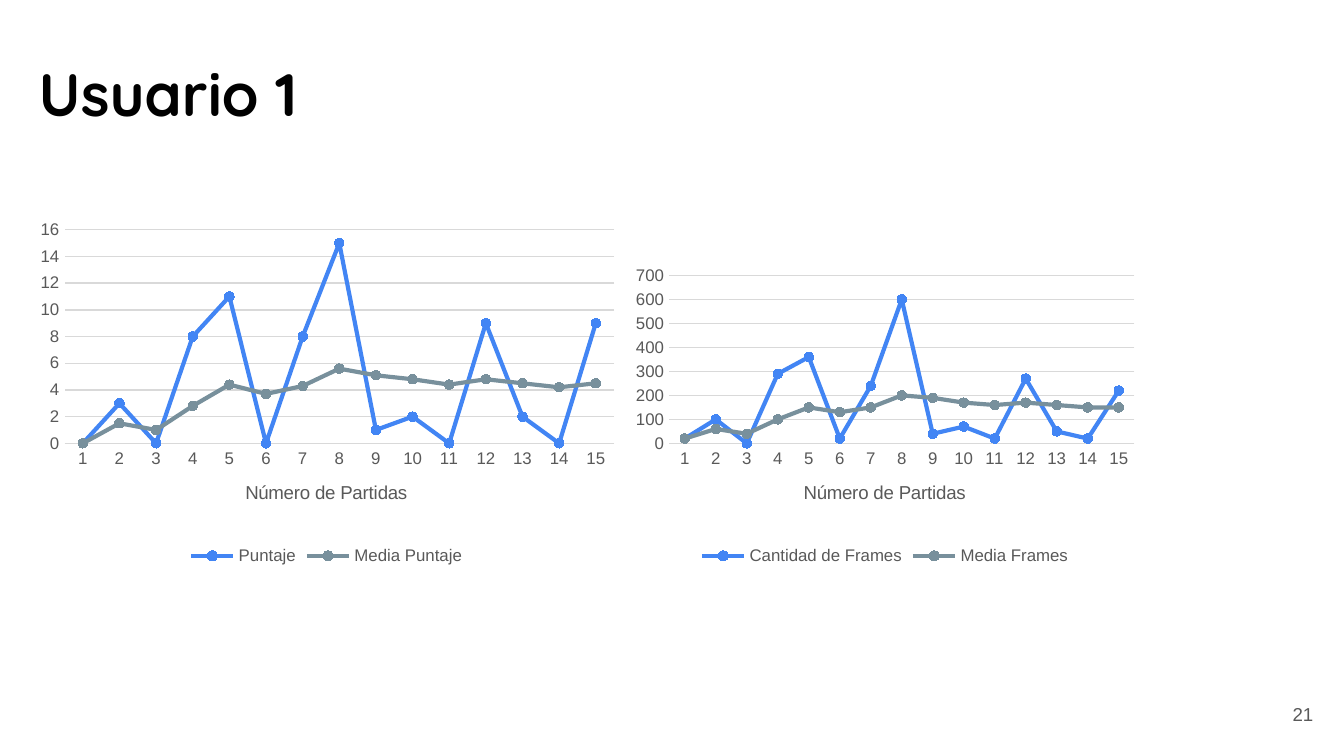
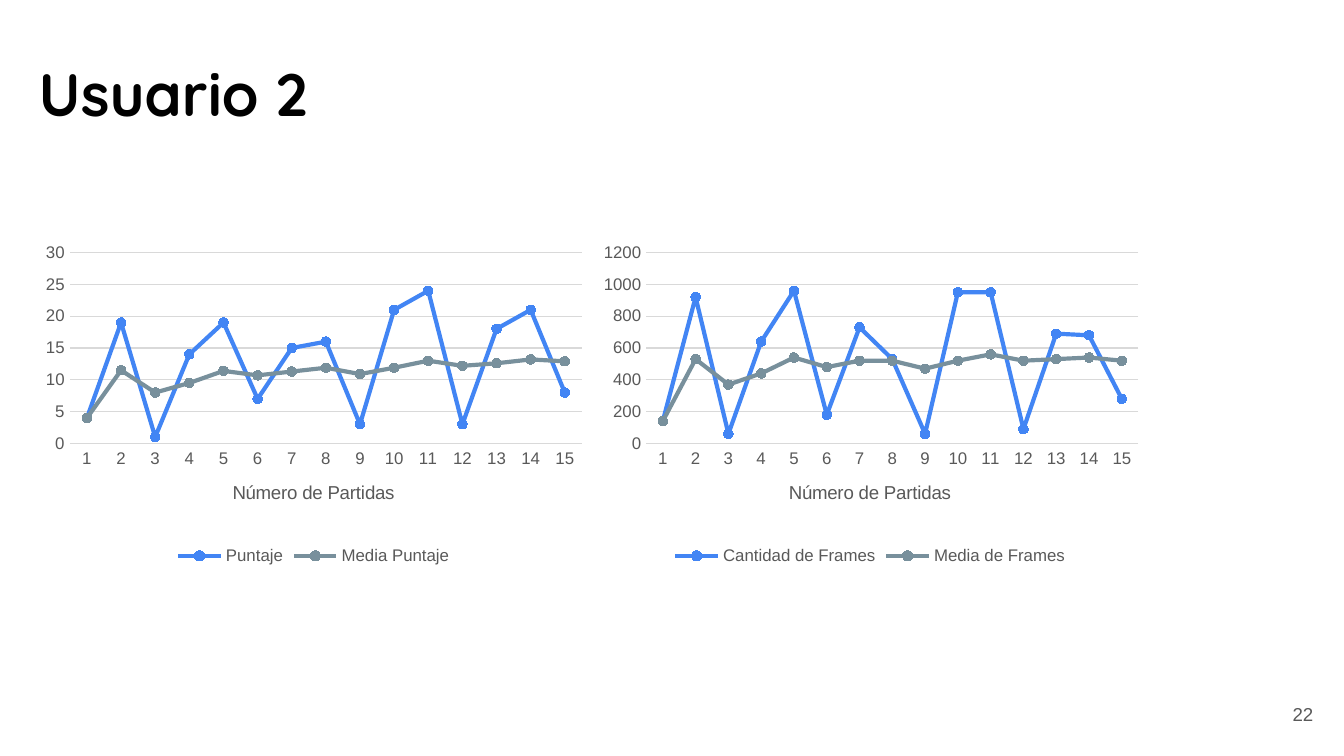
from dataclasses import dataclass

from lxml import etree
from pptx import Presentation
from pptx.chart.data import CategoryChartData
from pptx.dml.color import RGBColor
from pptx.enum.chart import XL_CHART_TYPE, XL_LEGEND_POSITION, XL_MARKER_STYLE, XL_TICK_MARK
from pptx.enum.text import MSO_ANCHOR, MSO_AUTO_SIZE, PP_ALIGN
from pptx.oxml.ns import qn
from pptx.util import Inches, Pt

LINE_MARKERS = XL_CHART_TYPE.LINE_MARKERS
BOTTOM = XL_LEGEND_POSITION.BOTTOM
CIRCLE = XL_MARKER_STYLE.CIRCLE
NO_TICK = XL_TICK_MARK.NONE
TOP, MIDDLE = MSO_ANCHOR.TOP, MSO_ANCHOR.MIDDLE
FIT, FIXED = MSO_AUTO_SIZE.SHAPE_TO_FIT_TEXT, MSO_AUTO_SIZE.NONE
LEFT, RIGHT = PP_ALIGN.LEFT, PP_ALIGN.RIGHT

COLORS = {
    "background": "FFFFFF",
    "title": "000000",
    "muted": "595959",
    "grid": "D9D9D9",
    "score": "4285F4",
    "mean": "78909C",
}
TITLE_FONT = "Quicksand"
BODY_FONT = "Arial"
SLIDE_WIDTH = 10
SLIDE_HEIGHT = SLIDE_WIDTH * 9 / 16
GAMES = [str(n) for n in range(1, 16)]
AXIS_TITLE = "Número de Partidas"
AXIS_TITLE_WIDTH = 1.26
CHART_BOTTOM = 4.25
PLOT_TOP_GAP = 0.12
PLOT_RIGHT_GAP = 0.08
PLOT_BOTTOM_GAP = 0.95
AXIS_TITLE_GAP = 0.7


@dataclass
class Line:
    name: str
    values: list[float]


@dataclass
class LineChart:
    left: float
    top: float
    width: float
    label_width: float
    maximum: int
    step: int
    score: Line
    mean: Line


@dataclass
class UserSlide:
    title: str
    number: int
    charts: list[LineChart]


@dataclass
class TextStyle:
    font: str
    size: int
    color: str
    bold: bool = False
    align: int = LEFT
    anchor: int = TOP
    fit: int = FIXED


TITLE = TextStyle(TITLE_FONT, 32, "title", bold=True, fit=FIT)
NUMBER = TextStyle(BODY_FONT, 10, "muted", align=RIGHT, anchor=MIDDLE)

SLIDES = [
    UserSlide("Usuario 1", 21, [
        LineChart(
            0.21, 1.59, 4.44, 0.27, 16, 2,
            Line("Puntaje", [0, 3, 0, 8, 11, 0, 8, 15, 1, 2, 0, 9, 2, 0, 9]),
            Line("Media Puntaje", [0, 1.5, 1, 2.8, 4.4, 3.7, 4.3, 5.6, 5.1, 4.8,
                                   4.4, 4.8, 4.5, 4.2, 4.5]),
        ),
        LineChart(
            4.65, 1.93, 3.87, 0.33, 700, 100,
            Line("Cantidad de Frames", [20, 100, 0, 290, 360, 20, 240, 600, 40, 70,
                                        20, 270, 50, 20, 220]),
            Line("Media Frames", [20, 60, 40, 100, 150, 130, 150, 200, 190, 170,
                                  160, 170, 160, 150, 150]),
        ),
    ]),
    UserSlide("Usuario 2", 22, [
        LineChart(
            0.26, 1.76, 4.15, 0.26, 30, 5,
            Line("Puntaje", [4, 19, 1, 14, 19, 7, 15, 16, 3, 21, 24, 3, 18, 21, 8]),
            Line("Media Puntaje", [4, 11.5, 8, 9.5, 11.4, 10.7, 11.3, 11.9, 10.9, 11.9,
                                   13, 12.2, 12.6, 13.2, 12.9]),
        ),
        LineChart(
            4.4, 1.76, 4.15, 0.41, 1200, 200,
            Line("Cantidad de Frames", [140, 920, 60, 640, 960, 180, 730, 530, 60, 950,
                                        950, 90, 690, 680, 280]),
            Line("Media de Frames", [140, 530, 370, 440, 540, 480, 520, 520, 470, 520,
                                     560, 520, 530, 540, 520]),
        ),
    ]),
]


def rgb(name: str) -> RGBColor:
    return RGBColor.from_string(COLORS[name])


def style_font(font, size: int, color: str, name: str = BODY_FONT, bold: bool = False) -> None:
    font.name = name
    font.size = Pt(size)
    font.bold = bold
    font.color.rgb = rgb(color)


def style_line(line, color: str, width: float) -> None:
    line.color.rgb = rgb(color)
    line.width = Pt(width)


def add_text(s, text: str, left: float, top: float, width: float, height: float,
             style: TextStyle) -> None:
    sp = s.shapes.add_textbox(Inches(left), Inches(top), Inches(width), Inches(height))
    tf = sp.text_frame
    tf.word_wrap = True
    tf.auto_size = style.fit
    tf.vertical_anchor = style.anchor
    tf.margin_left = tf.margin_right = tf.margin_top = tf.margin_bottom = Inches(0.1)
    tf.text = text
    p = tf.paragraphs[0]
    p.alignment = style.align
    style_font(p.runs[0].font, style.size, style.color, style.font, style.bold)


def set_layout(parent, after: str | None, settings: dict[str, str | float]) -> None:
    for old in parent.findall(qn("c:layout")):
        parent.remove(old)
    layout = etree.Element(qn("c:layout"))
    manual = etree.SubElement(layout, qn("c:manualLayout"))
    for tag, value in settings.items():
        text = value if isinstance(value, str) else f"{value:.4f}"
        etree.SubElement(manual, qn(f"c:{tag}")).set("val", text)
    if after is None:
        parent.insert(0, layout)
    else:
        parent.find(qn(after)).addnext(layout)


def place_parts(chart, item: LineChart, height: float) -> None:
    plot_width = item.width - item.label_width - PLOT_RIGHT_GAP
    plot_height = height - PLOT_TOP_GAP - PLOT_BOTTOM_GAP
    edges = {"xMode": "edge", "yMode": "edge"}
    root = chart.element
    set_layout(root.find(f".//{qn('c:plotArea')}"), None, {
        "layoutTarget": "inner", **edges,
        "x": item.label_width / item.width, "y": PLOT_TOP_GAP / height,
        "w": plot_width / item.width, "h": plot_height / height,
    })
    set_layout(root.find(f".//{qn('c:catAx')}/{qn('c:title')}"), "c:tx", {
        **edges,
        "x": (item.width - AXIS_TITLE_WIDTH) / 2 / item.width,
        "y": 1 - AXIS_TITLE_GAP / height,
    })


def style_axes(chart, item: LineChart) -> None:
    category, value = chart.category_axis, chart.value_axis
    for axis in (category, value):
        axis.major_tick_mark = axis.minor_tick_mark = NO_TICK
        style_font(axis.tick_labels.font, 9, "muted")
    category.has_major_gridlines = False
    style_line(category.format.line, "grid", 0.75)
    tf = category.axis_title.text_frame
    tf.text = AXIS_TITLE
    style_font(tf.paragraphs[0].runs[0].font, 10, "muted")
    value.minimum_scale = 0
    value.maximum_scale = item.maximum
    value.major_unit = item.step
    value.has_major_gridlines = True
    style_line(value.major_gridlines.format.line, "grid", 0.75)
    value.format.line.fill.background()


def style_series(series, color: str) -> None:
    series.smooth = False
    style_line(series.format.line, color, 2.25)
    marker = series.marker
    marker.style = CIRCLE
    marker.size = 5
    marker.format.fill.solid()
    marker.format.fill.fore_color.rgb = rgb(color)
    style_line(marker.format.line, color, 0.75)


def add_line_chart(s, item: LineChart) -> None:
    data = CategoryChartData()
    data.categories = GAMES
    for line in (item.score, item.mean):
        data.add_series(line.name, line.values)
    height = CHART_BOTTOM - item.top
    frame = s.shapes.add_chart(LINE_MARKERS, Inches(item.left), Inches(item.top),
                               Inches(item.width), Inches(height), data)
    chart = frame.chart
    chart.has_title = False
    style_font(chart.font, 10, "title")
    chart.has_legend = True
    chart.legend.position = BOTTOM
    chart.legend.include_in_layout = False
    style_font(chart.legend.font, 9, "muted")
    plot = chart.plots[0]
    plot.vary_by_categories = False
    for series, color in zip(plot.series, ("score", "mean")):
        style_series(series, color)
    style_axes(chart, item)
    place_parts(chart, item, height)


def add_user_slide(prs, user: UserSlide) -> None:
    s = prs.slides.add_slide(prs.slide_layouts[6])
    s.background.fill.solid()
    s.background.fill.fore_color.rgb = rgb("background")
    add_text(s, user.title, 0.19, 0.32, 8.44, 0.74, TITLE)
    for item in user.charts:
        add_line_chart(s, item)
    add_text(s, str(user.number), 9.27, 5.1, 0.6, 0.43, NUMBER)


prs = Presentation()
prs.slide_width = Inches(SLIDE_WIDTH)
prs.slide_height = Inches(SLIDE_HEIGHT)
for user in SLIDES:
    add_user_slide(prs, user)
prs.save("out.pptx")
